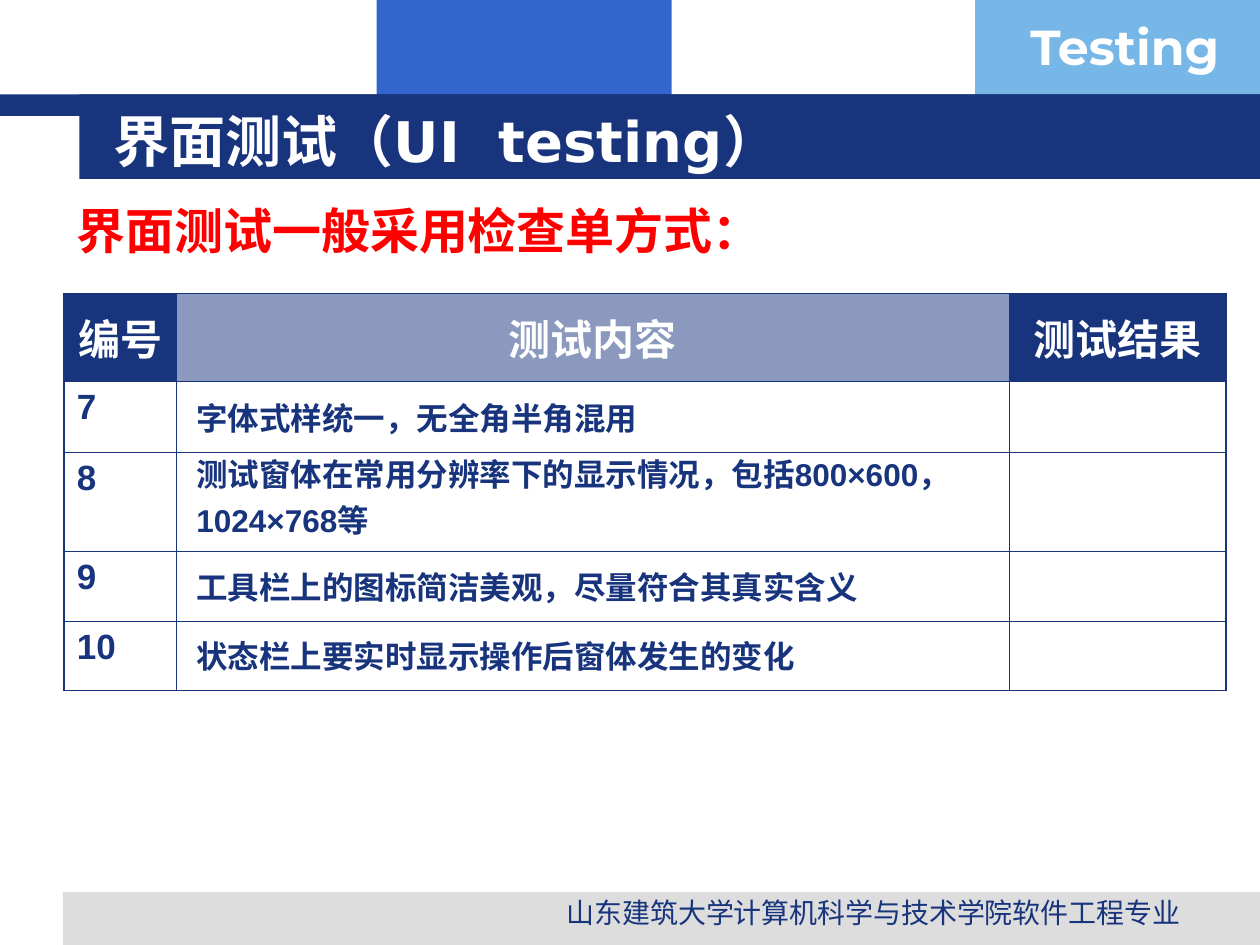
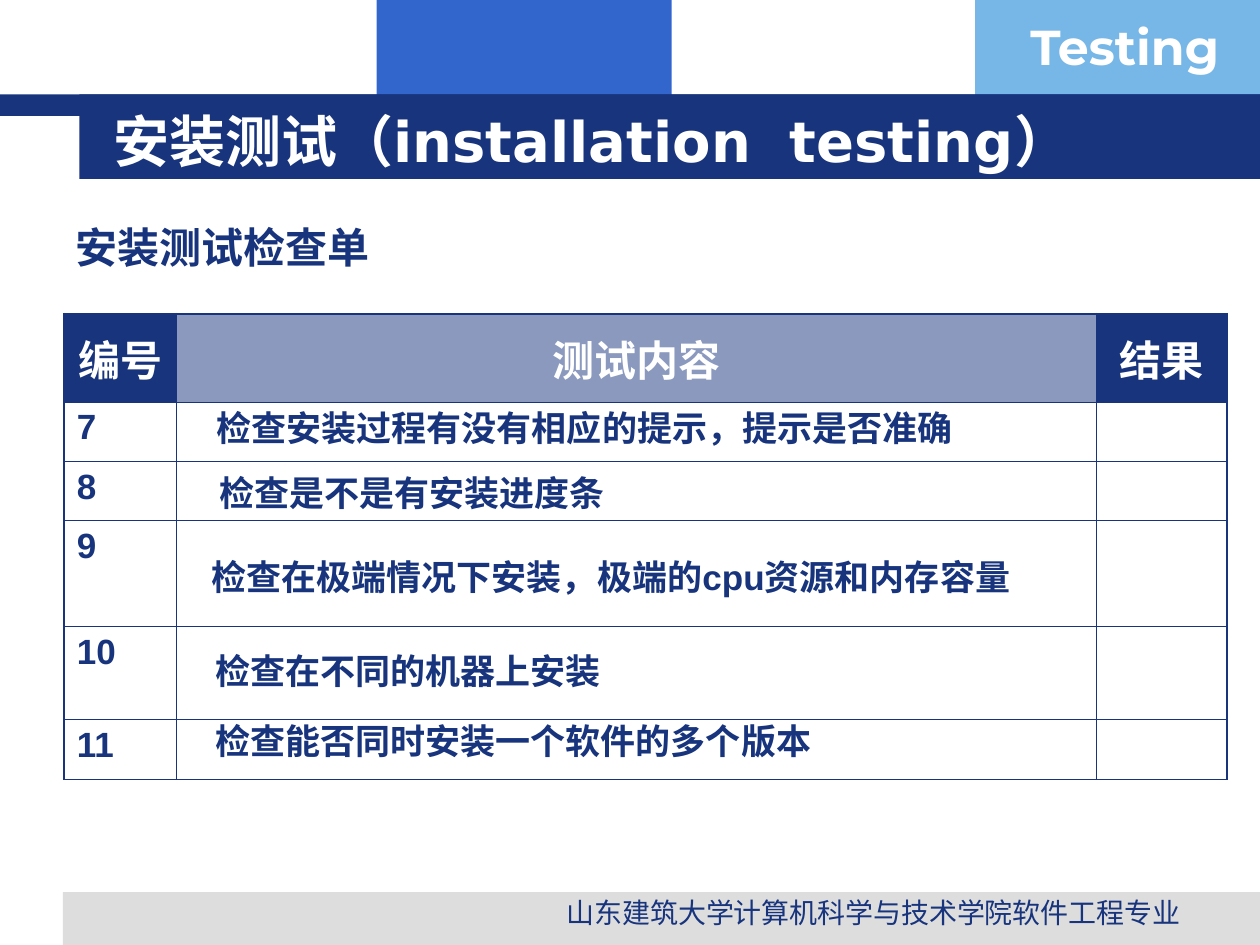
from dataclasses import dataclass
from typing import NamedTuple, Optional

from lxml import etree
from pptx import Presentation
from pptx.dml.color import RGBColor
from pptx.enum import shapes, text
from pptx.oxml import ns
from pptx.util import Inches, Pt


@dataclass(frozen=True)
class Theme:
    navy: str = "17347D"
    blue: str = "3366CC"
    sky: str = "77B7E7"
    grey: str = "DDDDDD"
    white: str = "FFFFFF"
    red: str = "FF0000"
    body_font: str = "Arial"
    title_font: str = "DejaVu Sans"
    badge_font: str = "Montserrat"
    title_size: float = 32
    lead_size: float = 28
    head_size: float = 24
    item_size: float = 20
    small_size: float = 18
    footer_size: float = 16
    thin: float = 0.45
    thick: float = 1.08


THEME = Theme()
CENTER = text.PP_ALIGN.CENTER
TOP, MIDDLE = text.MSO_ANCHOR.TOP, text.MSO_ANCHOR.MIDDLE


class Box(NamedTuple):
    left: float
    top: float
    width: float
    height: float

    def lengths(self) -> list:
        return [Inches(value) for value in self]


class Band(NamedTuple):
    box: Box
    color: str


class Item(NamedTuple):
    """The wording of one check, laid over its table row."""
    box: Box
    words: str
    align: Optional[text.PP_ALIGN] = None


class Checklist(NamedTuple):
    top: float
    columns: list[float]
    rows: list[float]
    headings: list[str]
    first_number: int
    bottom_line: float
    item_size: float
    items: list[Item]


class Lead(NamedTuple):
    box: Box
    words: str
    size: float
    color: str
    spacing: float


class Page(NamedTuple):
    title: str
    lead: Lead
    checklist: Checklist


BANDS = [
    Band(Box(2.99, 0, 2.34, 0.92), THEME.blue),
    Band(Box(7.74, 0, 2.26, 0.92), THEME.sky),
    Band(Box(0.5, 7.08, 9.5, 0.42), THEME.grey),
    Band(Box(0, 0.75, 10, 0.17), THEME.navy),
    Band(Box(0.63, 0.75, 9.37, 0.67), THEME.navy),
]

PAGES = [
    Page(
        "界面测试（UI  testing）",
        Lead(Box(0.51, 1.63, 7.57, 0.47), "界面测试一般采用检查单方式：",
             THEME.lead_size, THEME.red, 0.8),
        Checklist(
            2.33, [0.89, 6.61, 1.72], [0.7, 0.56, 0.79, 0.55, 0.55],
            ["编号", "测试内容", "测试结果"], 7, THEME.thick, THEME.small_size,
            [
                Item(Box(1.46, 3.12, 6.22, 0.39), "字体式样统一，无全角半角混用"),
                Item(Box(1.46, 3.67, 6.55, 0.55),
                     "测试窗体在常用分辨率下的显示情况，包括800×600，\n1024×768等"),
                Item(Box(1.46, 4.46, 6.22, 0.39),
                     "工具栏上的图标简洁美观，尽量符合其真实含义"),
                Item(Box(1.46, 5.01, 6.22, 0.39),
                     "状态栏上要实时显示操作后窗体发生的变化"),
            ],
        ),
    ),
    Page(
        "安装测试（installation  testing）",
        Lead(Box(0.5, 1.63, 9.07, 0.62), "安装测试检查单",
             THEME.head_size, THEME.navy, 1.2),
        Checklist(
            2.49, [0.89, 7.3, 1.04], [0.7, 0.47, 0.47, 0.84, 0.74, 0.48],
            ["编号", "测试内容", "结果"], 7, THEME.thin, THEME.item_size,
            [
                Item(Box(1.53, 3.2, 6.22, 0.39),
                     "检查安装过程有没有相应的提示，提示是否准确", CENTER),
                Item(Box(1.46, 3.67, 3.62, 0.47), "检查是不是有安装进度条", CENTER),
                Item(Box(1.58, 4.3, 7, 0.55),
                     "检查在极端情况下安装，极端的cpu资源和内存容量"),
                Item(Box(1.61, 5.09, 6.3, 0.47), "检查在不同的机器上安装"),
                Item(Box(1.61, 5.64, 6.3, 0.47), "检查能否同时安装一个软件的多个版本"),
            ],
        ),
    ),
]


def write(frame, words: str, *, size: float, color: str = THEME.navy,
          font: str = THEME.body_font, bold: bool = True, align=None,
          spacing: Optional[float] = None, gap: float = 0) -> None:
    """Fill a text frame, one paragraph per line; gap parts the paragraphs."""
    for index, line in enumerate(words.split("\n")):
        paragraph = frame.add_paragraph() if index else frame.paragraphs[0]
        if index:
            paragraph.space_before = Pt(gap)
        paragraph.alignment = align
        if spacing:
            paragraph.line_spacing = spacing
        run = paragraph.add_run()
        run.text = line
        run.font.name = font
        run.font.size = Pt(size)
        run.font.bold = bold
        run.font.color.rgb = RGBColor.from_string(color)


def add_text(slide, box: Box, words: str, *, anchor=TOP, wrap: bool = True,
             **style) -> None:
    frame = slide.shapes.add_textbox(*box.lengths()).text_frame
    frame.word_wrap = wrap
    frame.vertical_anchor = anchor
    write(frame, words, **style)


def add_band(slide, band: Band) -> None:
    bar = slide.shapes.add_shape(shapes.MSO_SHAPE.RECTANGLE, *band.box.lengths())
    bar.shadow.inherit = False
    bar.fill.solid()
    bar.fill.fore_color.rgb = RGBColor.from_string(band.color)
    bar.line.fill.background()


def add_frame(slide, title: str) -> None:
    """Bands, badge, footer and title shared by all pages."""
    for band in BANDS:
        add_band(slide, band)
    add_text(slide, Box(8.08, 0.08, 1.93, 0.57), "Testing", size=THEME.lead_size,
             color=THEME.white, font=THEME.badge_font)
    add_text(slide, Box(4.06, 7.06, 5.75, 0.31),
             "山东建筑大学计算机科学与技术学院软件工程专业",
             size=THEME.footer_size, bold=False, align=CENTER)
    add_text(slide, Box(0.8, 0.8, 8.53, 0.62), title, size=THEME.title_size,
             color=THEME.white, font=THEME.title_font, anchor=MIDDLE)


def set_borders(cell, widths: dict[str, float]) -> None:
    properties = cell._tc.get_or_add_tcPr()
    for position, (side, width) in enumerate(widths.items()):
        line = etree.Element(ns.qn(f"a:ln{side}"), w=str(Pt(width)))
        fill = etree.SubElement(line, ns.qn("a:solidFill"))
        etree.SubElement(fill, ns.qn("a:srgbClr"), val=THEME.navy)
        properties.insert(position, line)


def fill_heading(cell, translucent: bool) -> None:
    cell.fill.solid()
    cell.fill.fore_color.rgb = RGBColor.from_string(THEME.navy)
    if translucent:
        color = cell._tc.tcPr.find(".//" + ns.qn("a:srgbClr"))
        etree.SubElement(color, ns.qn("a:alpha"), val="50000")


def add_checklist(slide, plan: Checklist) -> None:
    box = Box(0.51, plan.top, sum(plan.columns), sum(plan.rows))
    last_row, last_column = len(plan.rows) - 1, len(plan.columns) - 1
    table = slide.shapes.add_table(last_row + 1, last_column + 1,
                                   *box.lengths()).table
    table.first_row = table.horz_banding = False
    for column, width in zip(table.columns, plan.columns):
        column.width = Inches(width)

    for r, height in enumerate(plan.rows):
        table.rows[r].height = Inches(height)
        for c, heading in enumerate(plan.headings):
            cell = table.cell(r, c)
            cell.margin_left = cell.margin_right = Inches(0.1)
            cell.margin_top = cell.margin_bottom = Inches(0.05)
            if r == 0:
                cell.vertical_anchor = MIDDLE
                fill_heading(cell, translucent=c == 1)
                write(cell.text_frame, heading, size=THEME.head_size,
                      color=THEME.white, align=CENTER)
            else:
                cell.fill.background()
                if c == 0:
                    write(cell.text_frame, str(plan.first_number + r - 1),
                          size=THEME.item_size)
            set_borders(cell, {
                "L": THEME.thick if c == 0 else THEME.thin,
                "R": THEME.thick if c == last_column else THEME.thin,
                "T": THEME.thick if r == 0 else THEME.thin,
                "B": plan.bottom_line if r == last_row else THEME.thin,
            })

    # Wording of the checks, over the middle column
    for item in plan.items:
        add_text(slide, item.box, item.words, size=plan.item_size,
                 align=item.align, anchor=MIDDLE, wrap=False, gap=4.5)


def main() -> None:
    deck = Presentation()
    deck.slide_width, deck.slide_height = Inches(10), Inches(7.5)
    for page in PAGES:
        slide = deck.slides.add_slide(deck.slide_layouts[6])
        add_frame(slide, page.title)
        lead = page.lead
        add_text(slide, lead.box, lead.words, size=lead.size, color=lead.color,
                 spacing=lead.spacing)
        add_checklist(slide, page.checklist)
    deck.save("out.pptx")


if __name__ == "__main__":
    main()
